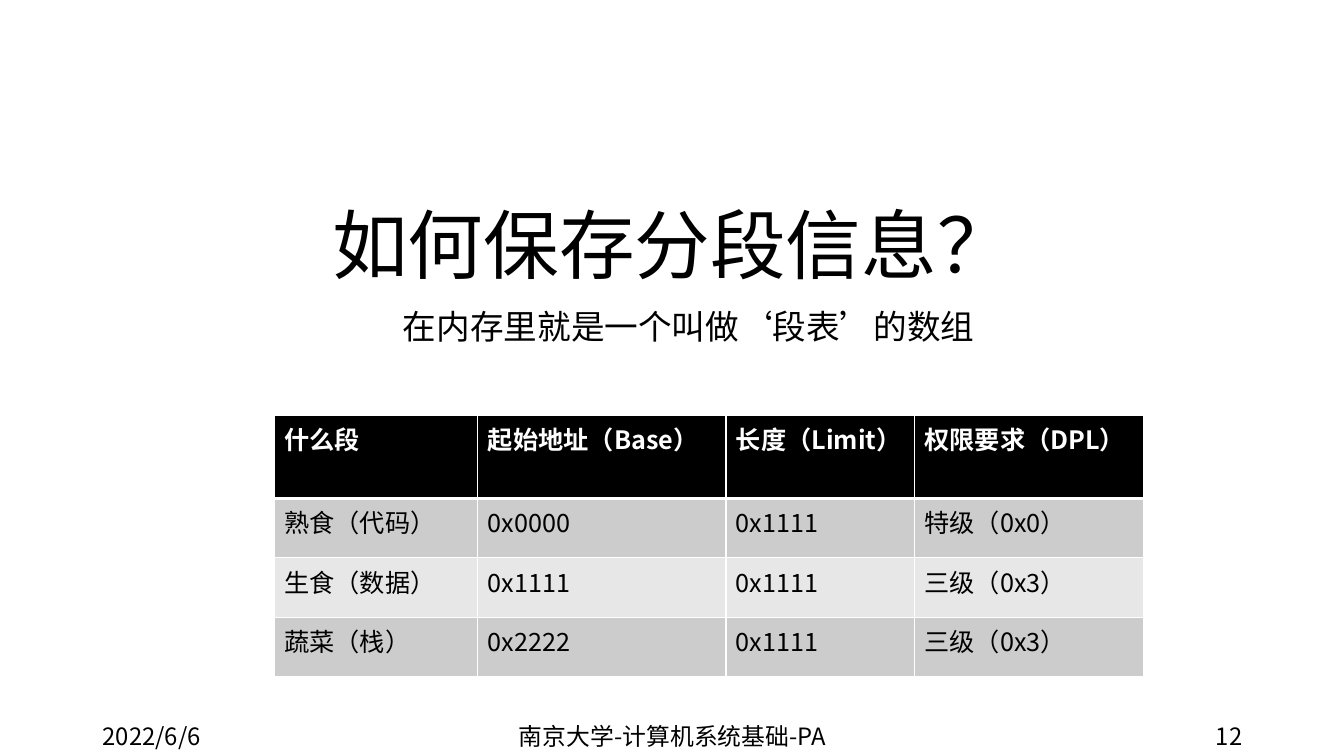
from dataclasses import dataclass

from lxml import etree
from pptx import Presentation
from pptx.dml.color import RGBColor
from pptx.enum.text import MSO_ANCHOR, MSO_AUTO_SIZE, PP_ALIGN
from pptx.oxml.ns import qn
from pptx.util import Emu, Pt

LEFT, CENTER, RIGHT = PP_ALIGN.LEFT, PP_ALIGN.CENTER, PP_ALIGN.RIGHT
TOP, MIDDLE, BOTTOM = MSO_ANCHOR.TOP, MSO_ANCHOR.MIDDLE, MSO_ANCHOR.BOTTOM
NO_FIT = MSO_AUTO_SIZE.NONE
EMU_PER_PX = 9144
FONT = "Noto Sans CJK SC"
BLACK, WHITE = "000000", "FFFFFF"
BANDS = ("CCCCCC", "E7E7E7")


@dataclass(frozen=True)
class Label:
    text: str
    box: tuple[int, int, int, int]
    size: int
    align: PP_ALIGN
    anchor: MSO_ANCHOR
    line_spacing: float = 1.0


TITLE = Label("如何保存分段信息？", (242, 32, 850, 261), 54, CENTER, BOTTOM, 0.9)
SUBTITLE = Label("在内存里就是一个叫做‘段表’的数组", (177, 303, 1012, 181), 24, CENTER, TOP, 0.9)
FOOTERS = (
    Label("2022/6/6", (92, 710, 300, 40), 17, LEFT, MIDDLE),
    Label("南京大学-计算机系统基础-PA", (442, 710, 450, 40), 17, CENTER, MIDDLE),
    Label("12", (942, 710, 300, 40), 17, RIGHT, MIDDLE),
)
SEGMENTS = (
    ("什么段", "起始地址（Base）", "长度（Limit）", "权限要求（DPL）"),
    ("熟食（代码）", "0x0000", "0x1111", "特级（0x0）"),
    ("生食（数据）", "0x1111", "0x1111", "三级（0x3）"),
    ("蔬菜（栈）", "0x2222", "0x1111", "三级（0x3）"),
)
COLUMN_WIDTHS = (202, 246, 187, 227)
ROW_HEIGHT = 59


def px(length: int) -> Emu:
    return Emu(length * EMU_PER_PX)


def rgb(value: str) -> RGBColor:
    return RGBColor.from_string(value)


def format_text(frame, size: int, color: str, bold: bool = False) -> None:
    for paragraph in frame.paragraphs:
        for run in paragraph.runs:
            run.font.size = Pt(size)
            run.font.bold = bold
            run.font.color.rgb = rgb(color)
            run.font.name = FONT
            east_asian = etree.SubElement(run.font._element, qn("a:ea"))
            east_asian.set("typeface", FONT)


def write_label(shape, label: Label) -> None:
    shape.left, shape.top, shape.width, shape.height = map(px, label.box)
    frame = shape.text_frame
    frame.text = label.text
    frame.word_wrap = True
    frame.auto_size = NO_FIT
    frame.vertical_anchor = label.anchor
    paragraph = frame.paragraphs[0]
    paragraph.alignment = label.align
    paragraph.line_spacing = label.line_spacing
    paragraph.space_before = Pt(0)
    format_text(frame, label.size, BLACK)


def add_borders(cell, top: int, bottom: int) -> None:
    properties = cell._tc.get_or_add_tcPr()
    for side, width in (("L", 1), ("R", 1), ("T", top), ("B", bottom)):
        line = etree.SubElement(properties, qn(f"a:ln{side}"), w=str(Pt(width)))
        fill = etree.SubElement(line, qn("a:solidFill"))
        etree.SubElement(fill, qn("a:srgbClr"), val=WHITE)


def add_segment_table(slide) -> None:
    table = slide.shapes.add_table(
        len(SEGMENTS), len(COLUMN_WIDTHS), px(272), px(412),
        px(sum(COLUMN_WIDTHS)), px(ROW_HEIGHT * len(SEGMENTS)),
    ).table
    for column, width in zip(table.columns, COLUMN_WIDTHS):
        column.width = px(width)
    for index, (row, entries) in enumerate(zip(table.rows, SEGMENTS)):
        row.height = px(ROW_HEIGHT)
        header = index == 0
        for cell, entry in zip(row.cells, entries):
            add_borders(cell, 3 if index == 1 else 1, 3 if header else 1)
            cell.fill.solid()
            cell.fill.fore_color.rgb = rgb(BLACK if header else BANDS[(index - 1) % 2])
            cell.text_frame.text = entry
            format_text(cell.text_frame, 18, WHITE if header else BLACK, header)


def main() -> None:
    presentation = Presentation()
    presentation.slide_width, presentation.slide_height = px(1333), px(750)
    slide = presentation.slides.add_slide(presentation.slide_layouts[0])
    write_label(slide.shapes.title, TITLE)
    write_label(slide.placeholders[1], SUBTITLE)
    add_segment_table(slide)
    for footer in FOOTERS:
        write_label(slide.shapes.add_textbox(*map(px, footer.box)), footer)
    presentation.save("out.pptx")


if __name__ == "__main__":
    main()
